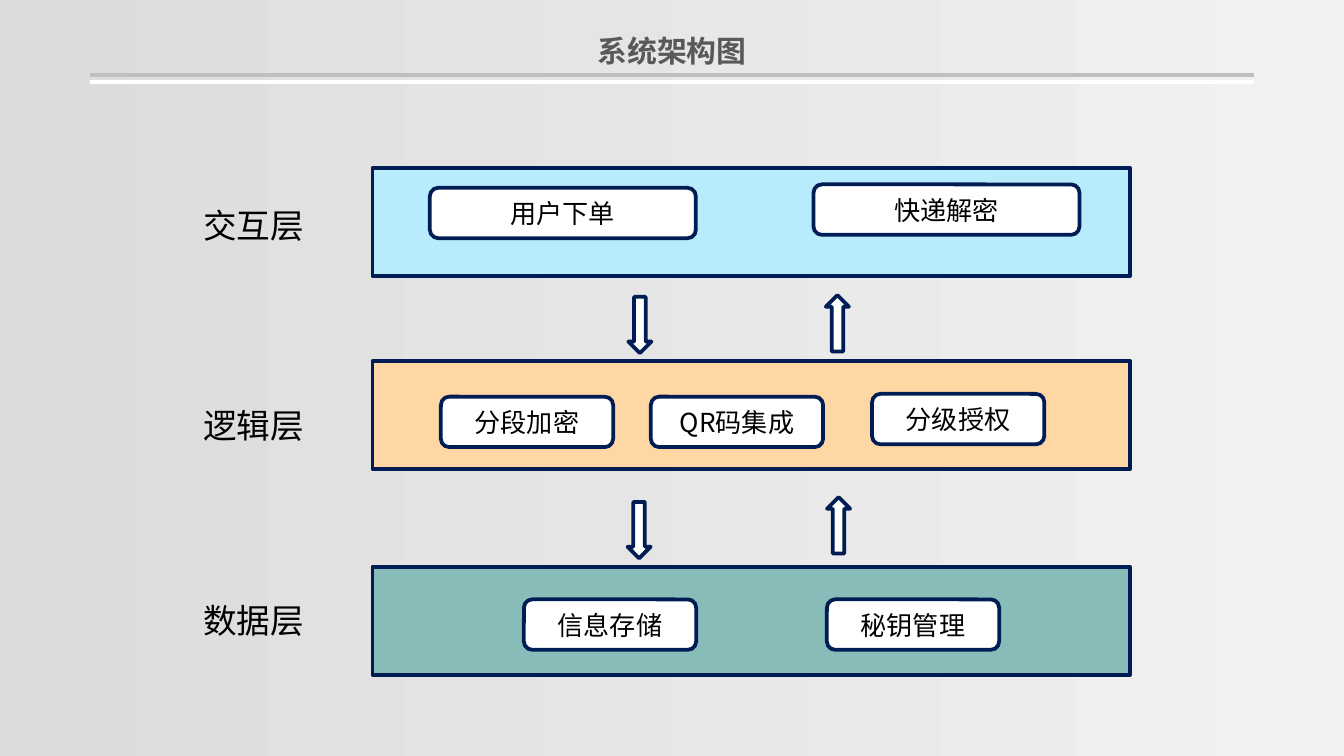
"""Build the system architecture slide: three layers joined by arrows."""
from lxml import etree
from pptx import Presentation
from pptx.dml.color import RGBColor
from pptx.enum import shapes, text
from pptx.oxml.ns import qn
from pptx.util import Pt

TITLE = "系统架构图"
BACKGROUND = ["DCDCDC", "F1F1F1"]
RULES = [(40.4, "BFBFBF"), (44, "FFFFFF")]
LAYERS = [
    {"name": "交互层", "top": 90, "label_top": 106, "fill": "B8ECFC", "module_width": 142.5,
     "modules": [("用户下单", 230.3, 100.6), ("快递解密", 435.8, 98.8)]},
    {"name": "逻辑层", "top": 193.5, "label_top": 213.3, "fill": "FFD7A4", "module_width": 92.3,
     "modules": [("分段加密", 236.2, 212.5), ("QR码集成", 348.7, 212.5),
                 ("分级授权", 467.2, 211)]},
    {"name": "数据层", "top": 303.7, "label_top": 317.7, "fill": "87BCB9", "module_width": 92.3,
     "modules": [("信息存储", 280.7, 321.1), ("秘钥管理", 443, 321.1)]},
]
ARROWS = [(336.6, 159, 0), (442.4, 158.1, 180), (336.2, 268.9, 0), (443, 266.3, 180)]

FONT = "Noto Sans CJK SC"
NAVY = "001C54"
BAND_LEFT, BAND_WIDTH, BAND_HEIGHT = 199.5, 406, 57.8
MODULE_HEIGHT = 27
FRAME = {"margin_left": Pt(3.6), "margin_right": Pt(3.6), "margin_top": Pt(3.6),
         "margin_bottom": Pt(3.6), "word_wrap": True}


def color(hex_value):
    return RGBColor.from_string(hex_value)


def set_all(target, values):
    for name, value in values.items():
        setattr(target, name, value)


def write(holder, words, size, ink="000000", bold=False, align=text.PP_ALIGN.CENTER,
          anchor=text.MSO_ANCHOR.MIDDLE):
    frame = holder.text_frame
    set_all(frame, {**FRAME, "vertical_anchor": anchor,
                    "auto_size": text.MSO_AUTO_SIZE.SHAPE_TO_FIT_TEXT})
    paragraph = frame.paragraphs[0]
    paragraph.alignment = align
    run = paragraph.add_run()
    run.text = words
    set_all(run.font, {"name": FONT, "size": Pt(size), "bold": bold})
    run.font.color.rgb = color(ink)
    latin = run.font._element.find(qn("a:latin"))
    latin.addnext(etree.Element(qn("a:ea"), typeface=FONT))


def add_outlined(slide, kind, box, fill):
    outlined = slide.shapes.add_shape(kind, *map(Pt, box))
    outlined.shadow.inherit = False
    outlined.fill.solid()
    outlined.fill.fore_color.rgb = color(fill)
    outlined.line.color.rgb = color(NAVY)
    outlined.line.width = Pt(2)
    return outlined


def add_rule(slide, y, ink):
    rule = slide.shapes.add_connector(shapes.MSO_CONNECTOR.STRAIGHT,
                                      Pt(48.2), Pt(y), Pt(671.8), Pt(y))
    rule.line.color.rgb = color(ink)
    rule.line.width = Pt(2.25)
    etree.SubElement(rule._element.spPr, qn("a:effectLst"))


def add_layer(slide, layer):
    add_outlined(slide, shapes.MSO_SHAPE.RECTANGLE,
                 (BAND_LEFT, layer["top"], BAND_WIDTH, BAND_HEIGHT), layer["fill"])
    for words, left, top in layer["modules"]:
        module = add_outlined(slide, shapes.MSO_SHAPE.ROUNDED_RECTANGLE,
                              (left, top, layer["module_width"], MODULE_HEIGHT), "FFFFFF")
        write(module, words, 14)
    label = slide.shapes.add_textbox(Pt(105.2), Pt(layer["label_top"]), Pt(83.5), Pt(29))
    write(label, layer["name"], 18, align=text.PP_ALIGN.LEFT, anchor=text.MSO_ANCHOR.TOP)


def main():
    deck = Presentation()
    set_all(deck, {"slide_width": Pt(720), "slide_height": Pt(405)})
    slide = deck.slides.add_slide(deck.slide_layouts[5])
    backdrop = slide.background.fill
    backdrop.gradient()
    backdrop.gradient_angle = 0
    for stop, ink in zip(backdrop.gradient_stops, BACKGROUND):
        stop.color.rgb = color(ink)
    for y, ink in RULES:
        add_rule(slide, y, ink)
    title = slide.shapes.title
    set_all(title, {"left": Pt(286.2), "top": Pt(13.5), "width": Pt(147.6), "height": Pt(27)})
    write(title, TITLE, 16, "595959", True)
    for layer in LAYERS:
        add_layer(slide, layer)
    for left, top, turn in ARROWS:
        arrow = add_outlined(slide, shapes.MSO_SHAPE.DOWN_ARROW, (left, top, 12.4, 30.2), "FFFFFF")
        arrow.rotation = turn
    deck.save("out.pptx")


if __name__ == "__main__":
    main()
